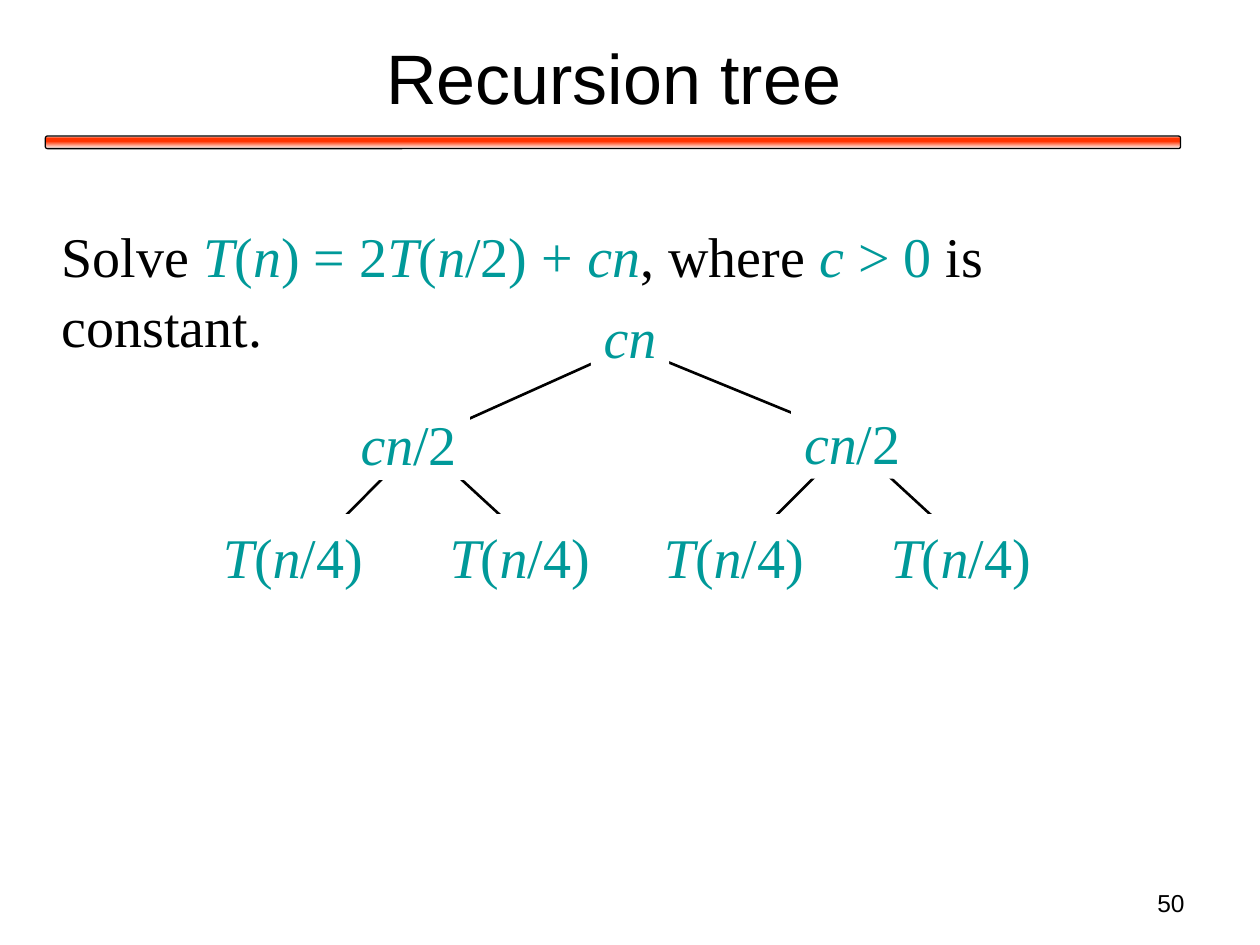
from copy import deepcopy

from pptx import Presentation
from pptx.dml.color import RGBColor
from pptx.enum import shapes, text
from pptx.oxml.ns import qn
from pptx.util import Inches, Pt

BLACK, TEAL, WHITE, RED = "000000", "009999", "FFFFFF", "FF3300"
SERIF, SANS = "Times New Roman", "Arial"
NODE_HEIGHT = 0.63


def color(value):
    return RGBColor.from_string(value)


def add_run(paragraph, words, size, font_name, fill, italic=False):
    run = paragraph.add_run()
    run.text = words
    run.font.size = Pt(size)
    run.font.name = font_name
    run.font.italic = italic
    run.font.color.rgb = color(fill)


def add_formula(paragraph, formula, fill=TEAL):
    """Add a formula in which the letters between asterisks are italic."""
    for index, words in enumerate(formula.split("*")):
        if words:
            add_run(paragraph, words, 32, SERIF, fill, italic=index % 2 == 1)


def add_title(slide, left, top, width, height):
    title = slide.shapes.title
    title.left, title.top = Inches(left), Inches(top)
    title.width, title.height = Inches(width), Inches(height)
    title.text_frame.vertical_anchor = text.MSO_ANCHOR.MIDDLE
    paragraph = title.text_frame.paragraphs[0]
    paragraph.alignment = text.PP_ALIGN.CENTER
    add_run(paragraph, "Recursion tree", 40, SANS, BLACK)


def add_title_bar(slide, left, top, width, height):
    bar = slide.shapes.add_shape(
        shapes.MSO_SHAPE.ROUNDED_RECTANGLE,
        Inches(left), Inches(top), Inches(width), Inches(height))
    bar.shadow.inherit = False
    bar.line.color.rgb = color(BLACK)
    bar.line.width = Pt(0.75)
    bar.fill.gradient()
    bar.fill.gradient_angle = 270
    stop_list = bar._element.spPr.find(qn("a:gradFill")).find(qn("a:gsLst"))
    for _ in range(2):
        stop_list.append(deepcopy(stop_list[0]))
    stops = [(0, WHITE), (0.16, RED), (0.42, RED), (1, WHITE)]
    for stop, (position, fill) in zip(bar.fill.gradient_stops, stops):
        stop.position = position
        stop.color.rgb = color(fill)


def add_problem(slide, left, top, width, height):
    box = slide.shapes.add_textbox(
        Inches(left), Inches(top), Inches(width), Inches(height))
    box.text_frame.word_wrap = True
    paragraph = box.text_frame.paragraphs[0]
    paragraph.line_spacing = 1.04
    for formula, fill in [
            ("Solve ", BLACK), ("*T*(*n*) = 2*T*(*n*/2) + *cn*", TEAL),
            (", where ", BLACK), ("*c *> 0", TEAL), (" is constant.", BLACK)]:
        add_formula(paragraph, formula, fill)


def add_branch(slide, start, end):
    branch = slide.shapes.add_connector(
        shapes.MSO_CONNECTOR.STRAIGHT, *map(Inches, start + end))
    branch.line.color.rgb = color(BLACK)
    branch.line.width = Pt(1.5)
    properties = branch._element.spPr
    properties.append(properties.makeelement(qn("a:effectLst"), {}))


def add_node(slide, formula, left, top, width):
    node = slide.shapes.add_textbox(
        Inches(left), Inches(top), Inches(width), Inches(NODE_HEIGHT))
    node.fill.solid()
    node.fill.fore_color.rgb = color(WHITE)
    node.text_frame.word_wrap = False
    paragraph = node.text_frame.paragraphs[0]
    paragraph.alignment = text.PP_ALIGN.CENTER
    paragraph.line_spacing = 1.04
    add_formula(paragraph, formula)


def add_tree(slide, left, top):
    def at(x, y):
        return left + x, top + y

    root = at(3.33, 0.42)
    for child_x in (1.66, 5.16):
        add_branch(slide, root, at(child_x, 1.17))
    for parent_x, leaf_xs in [(1.66, (0.75, 2.66)), (5.08, (4.16, 6.08))]:
        for leaf_x in leaf_xs:
            add_branch(slide, at(parent_x, 1.17), at(leaf_x, 2.09))

    add_node(slide, "*cn*", *at(3.02, 0), 0.62)
    for x, y in [(1.09, 0.85), (4.61, 0.84)]:
        add_node(slide, "*cn*/2", *at(x, y), 0.97)
    for pair_x in (0, 3.5):
        for offset in (0, 1.8):
            add_node(slide, "*T*(*n*/4)", *at(pair_x + offset, 1.75), 1.31)


def add_page_number(slide, left, top, width, height):
    box = slide.shapes.add_textbox(
        Inches(left), Inches(top), Inches(width), Inches(height))
    box.text_frame.word_wrap = True
    paragraph = box.text_frame.paragraphs[0]
    paragraph.alignment = text.PP_ALIGN.RIGHT
    add_run(paragraph, "50", 14, SANS, BLACK)


def main():
    presentation = Presentation()
    presentation.slide_width = Inches(10)
    presentation.slide_height = Inches(7.5)
    slide = presentation.slides.add_slide(presentation.slide_layouts[5])
    add_title_bar(slide, 0.36, 1.08, 9.01, 0.1)
    add_title(slide, 0.37, 0.11, 9, 0.99)
    add_problem(slide, 0.39, 1.69, 9, 1.16)
    add_tree(slide, 1.67, 2.33)
    add_page_number(slide, 7.17, 7, 2.33, 0.35)
    presentation.save("out.pptx")


if __name__ == "__main__":
    main()
